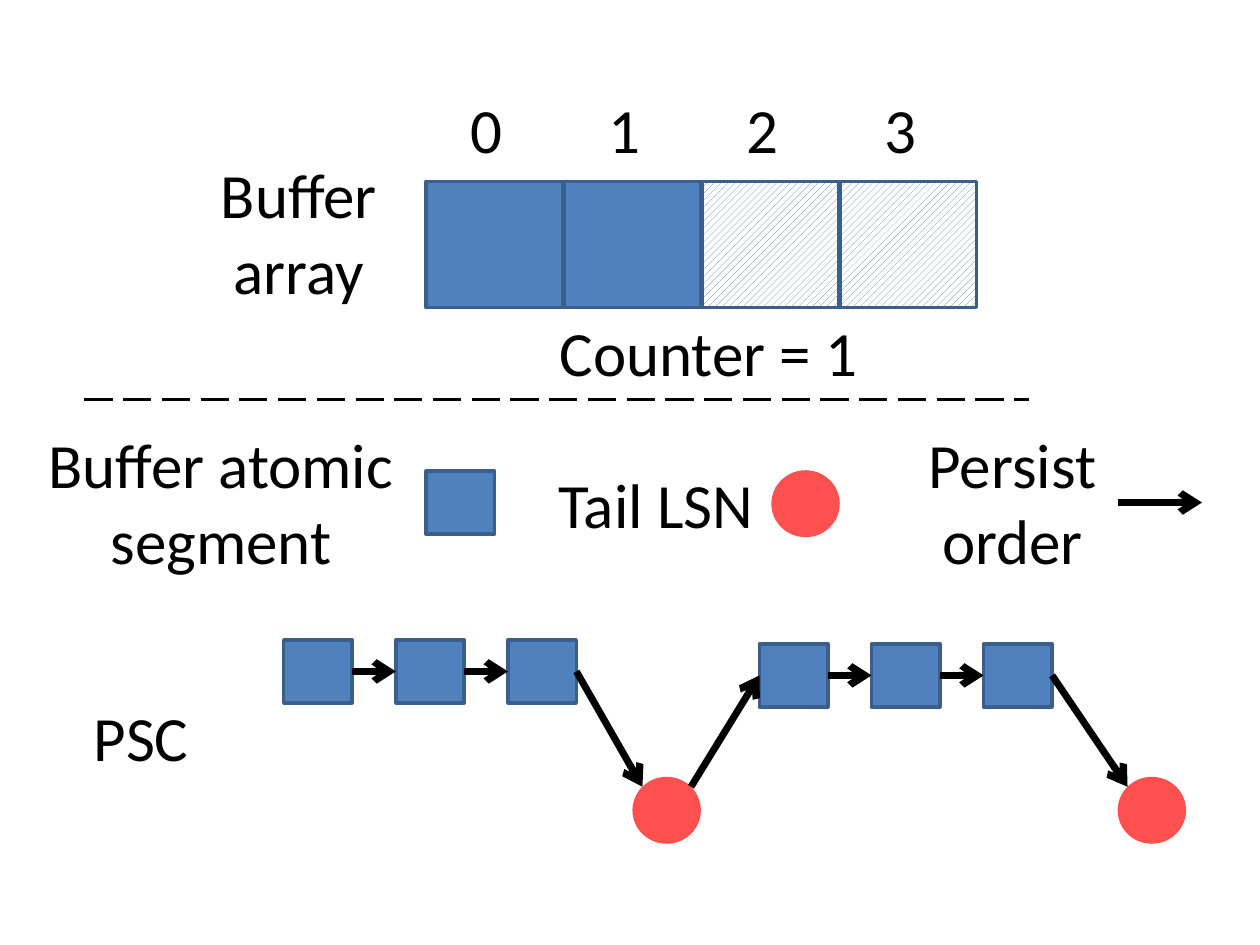
from lxml.etree import SubElement
from pptx import Presentation
from pptx.dml.color import RGBColor
from pptx.enum.dml import MSO_LINE as Dash, MSO_PATTERN as Hatch
from pptx.enum.shapes import MSO_CONNECTOR as Link, MSO_SHAPE as Kind
from pptx.enum.text import PP_ALIGN as Align
from pptx.oxml.ns import qn
from pptx.util import Cm, Pt

BLUE = RGBColor(0x4F, 0x81, 0xBD)
EDGE = RGBColor(0x3A, 0x5F, 0x8C)
RED = RGBColor(0xFF, 0x50, 0x50)
BLACK = RGBColor(0, 0, 0)
WHITE = RGBColor(255, 255, 255)
FONT = {"name": "Calibri", "size": Pt(36)}
SIDE, TALL = 1.38, 1.27
STEP = 2.26


def label(shapes, text, x, y, w, h):
    """Place centred text in a wrapping box."""
    frame = shapes.add_textbox(Cm(x), Cm(y), Cm(w), Cm(h)).text_frame
    frame.word_wrap = True
    para = frame.paragraphs[0]
    para.alignment = Align.CENTER
    run = para.add_run()
    run.text = text
    run.font.color.rgb = BLACK
    for key, value in FONT.items():
        setattr(run.font, key, value)


def block(shapes, x, y, w=SIDE, h=TALL, hatched=False):
    """Draw an edged rectangle, solid or hatched."""
    shape = shapes.add_shape(Kind.RECTANGLE, Cm(x), Cm(y), Cm(w), Cm(h))
    shape.shadow.inherit = False
    fill = shape.fill
    if hatched:
        fill.patterned()
        fill.pattern = Hatch.WIDE_UPWARD_DIAGONAL
        fill.fore_color.rgb = BLUE
        fill.back_color.rgb = WHITE
    else:
        fill.solid()
        fill.fore_color.rgb = BLUE
    shape.line.color.rgb = EDGE
    shape.line.width = Pt(2)


def disc(shapes, x, y):
    """Draw a red tail marker."""
    shape = shapes.add_shape(Kind.OVAL, Cm(x), Cm(y), Cm(SIDE), Cm(1.35))
    shape.shadow.inherit = False
    shape.fill.solid()
    shape.fill.fore_color.rgb = RED
    shape.line.fill.background()


def rule(shapes, x1, y1, x2, y2, width):
    """Draw a plain black line and return it."""
    line = shapes.add_connector(Link.STRAIGHT, Cm(x1), Cm(y1), Cm(x2), Cm(y2))
    line.line.color.rgb = BLACK
    line.line.width = Pt(width)
    SubElement(line.element.spPr, qn("a:effectLst"))
    return line


def arrow(shapes, x1, y1, x2, y2):
    """Draw a thick line with an open arrowhead at its end."""
    line = rule(shapes, x1, y1, x2, y2, 4)
    SubElement(line.line._get_or_add_ln(), qn("a:tailEnd"), type="arrow")


def array(shapes, x, y):
    """Draw the indexed buffer cells with title and counter."""
    for i in range(4):
        left = x + 5.74 + i * 2.78
        block(shapes, left, y + 1.96, 2.76, 2.54, hatched=i > 1)
        label(shapes, str(i), left, y, 2.44, 1.8)
    label(shapes, "Buffer array", x, y + 1.32, 6.35, 3.33)
    label(shapes, "Counter = 1", x + 7.41, y + 4.5, 8.05, 1.8)


def legend(shapes, x, y):
    """Draw the key of marks below the divider."""
    label(shapes, "Buffer atomic segment", x, y, 8.05, 3.33)
    block(shapes, x + 8.16, y + 1.04)
    label(shapes, "Tail LSN", x + 10.16, y + 0.79, 5.26, 1.8)
    disc(shapes, x + 15.12, y + 1.02)
    label(shapes, "Persist order", x + 17.35, y, 5.26, 3.33)
    arrow(shapes, x + 22.1, y + 1.67, x + 23.8, y + 1.67)


def chain(shapes, x, y):
    """Group three linked segments and return the exit point."""
    group = shapes.add_group_shape().shapes
    mid = y + TALL / 2
    for i in range(3):
        left = x + i * STEP
        block(group, left, y)
        if i:
            arrow(group, left - STEP + SIDE, mid, left, mid)
    return left + SIDE, mid


def order(shapes, x, y):
    """Draw the two chains, their tails and the arrows between."""
    label(shapes, "PSC", x, y + 1.06, 4.01, 1.8)
    top = y + 2.76
    first, last = x + 11.91, x + 21.69
    out = chain(shapes, x + 4.88, y)
    disc(shapes, first, top)
    arrow(shapes, *out, first + 0.2, top + 0.2)
    start = x + 14.47
    out = chain(shapes, start, y + 0.08)
    arrow(shapes, first + SIDE - 0.2, top + 0.2, start, out[1])
    disc(shapes, last, top)
    arrow(shapes, *out, last + 0.2, top + 0.2)


deck = Presentation()
deck.slide_width, deck.slide_height = Cm(25.4), Cm(19.05)
shapes = deck.slides.add_slide(deck.slide_layouts[6]).shapes
array(shapes, 2.85, 1.7)
rule(shapes, 1.7, 8.05, 20.75, 8.05, 2).line.dash_style = Dash.LONG_DASH
legend(shapes, 0.43, 8.46)
order(shapes, 0.84, 12.9)
deck.save("out.pptx")
